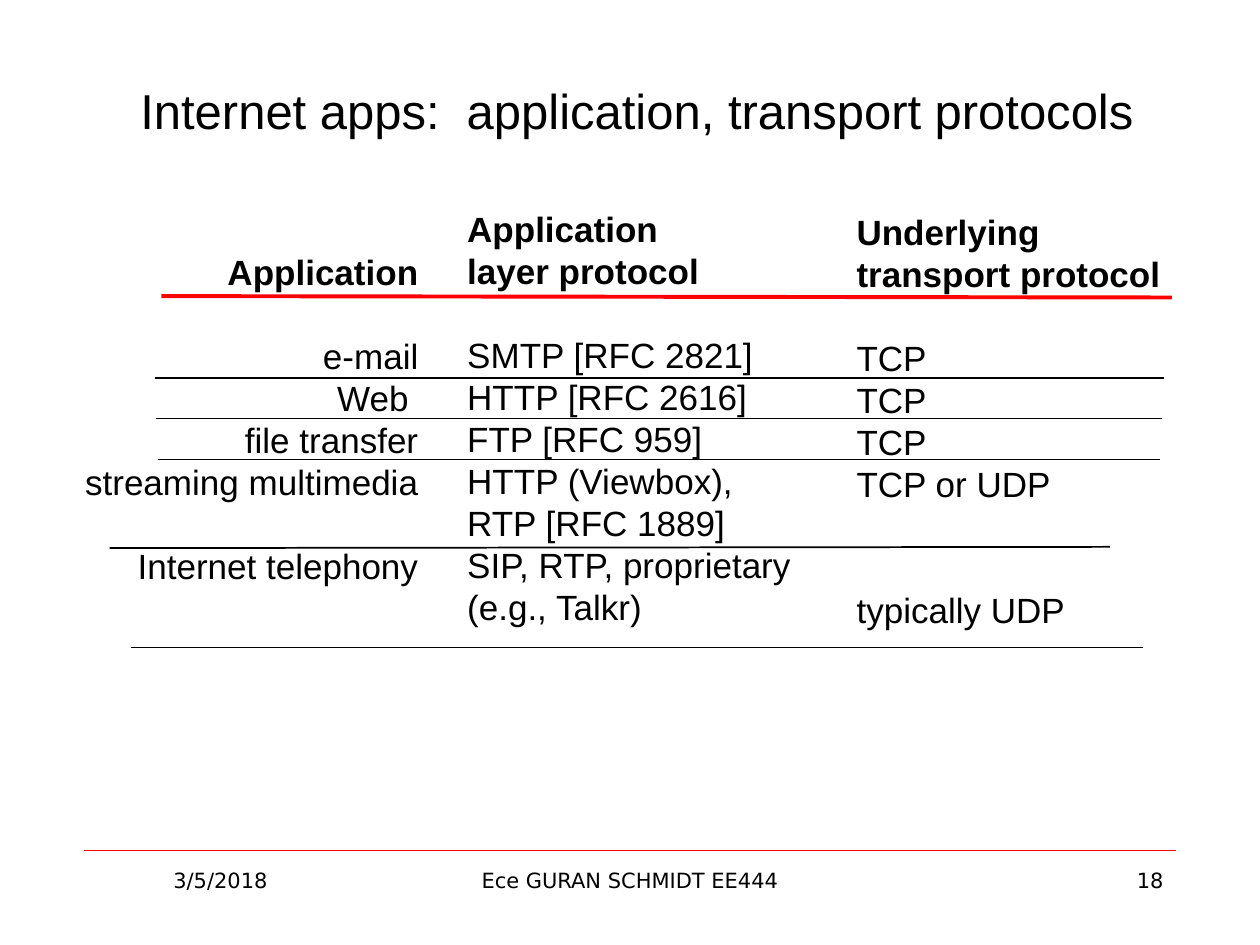
from dataclasses import dataclass

from lxml import etree
from pptx import Presentation
from pptx.dml.color import RGBColor
from pptx.enum.shapes import MSO_CONNECTOR
from pptx.enum.text import MSO_ANCHOR, PP_ALIGN
from pptx.oxml.ns import qn
from pptx.util import Pt

LEFT, CENTER, RIGHT = PP_ALIGN.LEFT, PP_ALIGN.CENTER, PP_ALIGN.RIGHT
TOP, MIDDLE = MSO_ANCHOR.TOP, MSO_ANCHOR.MIDDLE
STRAIGHT = MSO_CONNECTOR.STRAIGHT


@dataclass(frozen=True)
class Theme:
    ink: RGBColor = RGBColor(0, 0, 0)
    accent: RGBColor = RGBColor(255, 0, 0)
    body_font: str = "Arial"
    footer_font: str = "DejaVu Sans"
    title_size: int = 28
    body_size: int = 20
    footer_size: int = 12
    row_height: int = 24


class SlideBuilder:
    def __init__(self, slide, theme):
        self.slide = slide
        self.theme = theme

    def text_box(self, area, anchor=TOP):
        box = self.slide.shapes.add_textbox(*map(Pt, area))
        frame = box.text_frame
        frame.word_wrap = True
        frame.vertical_anchor = anchor
        return frame

    def fill_para(self, para, text, align, size, font, bold=False):
        para.text = text
        para.alignment = align
        style = {"size": Pt(size), "name": font, "bold": bold}
        for span in para.runs:
            for name, value in style.items():
                setattr(span.font, name, value)
            span.font.color.rgb = self.theme.ink

    def title(self, text, area):
        frame = self.text_box(area, MIDDLE)
        self.fill_para(frame.paragraphs[0], text, CENTER,
                       self.theme.title_size, self.theme.body_font)

    def footer(self, text, area, align):
        frame = self.text_box(area)
        self.fill_para(frame.paragraphs[0], text, align,
                       self.theme.footer_size, self.theme.footer_font)

    def column(self, area, align, header, entries):
        """Add bold header lines, then (text, empty rows above) entries."""
        frame = self.text_box(area)
        theme = self.theme
        lines = [(text, 0, True) for text in header]
        lines += [(text, gap, False) for text, gap in entries]
        for index, (text, gap, bold) in enumerate(lines):
            para = frame.add_paragraph() if index else frame.paragraphs[0]
            self.fill_para(para, text, align, theme.body_size,
                           theme.body_font, bold)
            para.line_spacing = Pt(theme.row_height)
            para.space_before = Pt(gap * theme.row_height)

    def rule(self, start, end, color, width):
        line = self.slide.shapes.add_connector(STRAIGHT, *map(Pt, start + end))
        line.line.color.rgb = color
        line.line.width = Pt(width)
        etree.SubElement(line._element.spPr, qn("a:effectLst"))


COLUMNS = [
    ((39.6, 139.7, 206.6, 230.4), RIGHT, ["Application"],
     [("e-mail", 1), ("Web ", 0), ("file transfer", 0),
      ("streaming multimedia", 0), ("Internet telephony", 1)]),
    ((259.9, 115.2, 210, 249.8), LEFT, ["Application", "layer protocol"],
     [("SMTP [RFC 2821]", 1), ("HTTP [RFC 2616]", 0), ("FTP [RFC 959]", 0),
      ("HTTP (Viewbox), \vRTP [RFC 1889]", 0),
      ("SIP, RTP, proprietary", 0), ("(e.g., Talkr)", 0)]),
    ((482.4, 116.6, 206.6, 249.8), LEFT, ["Underlying", "transport protocol"],
     [("TCP", 1), ("TCP", 0), ("TCP", 0), ("TCP or UDP", 0),
      ("typically UDP", 2)]),
]

ROW_RULES = [
    ((88.6, 216), (665.3, 216)),
    ((89.3, 239.2), (663.8, 239.2)),
    ((90, 262.6), (663.1, 262.6)),
    ((62.6, 313.2), (634.3, 312.5)),
    ((74.9, 370), (653, 370)),
]

FOOTERS = [
    ("3/5/2018", 48, 156, CENTER),
    ("Ece GURAN SCHMIDT EE444", 246, 228, CENTER),
    ("18", 516, 156, RIGHT),
]


def main():
    deck = Presentation()
    deck.slide_width, deck.slide_height = Pt(720), Pt(540)
    theme = Theme()
    page = SlideBuilder(deck.slides.add_slide(deck.slide_layouts[6]), theme)

    page.rule((48, 486), (672, 486), theme.accent, 0.25)
    for text, left, width, align in FOOTERS:
        page.footer(text, (left, 492, width, 37.5), align)

    page.title("Internet apps:  application, transport protocols",
               (19.4, 18, 689, 90))
    for column in COLUMNS:
        page.column(*column)

    page.rule((92.2, 169.2), (669.6, 170), theme.accent, 2.25)
    for start, end in ROW_RULES:
        page.rule(start, end, theme.ink, 1)

    deck.save("out.pptx")


if __name__ == "__main__":
    main()
